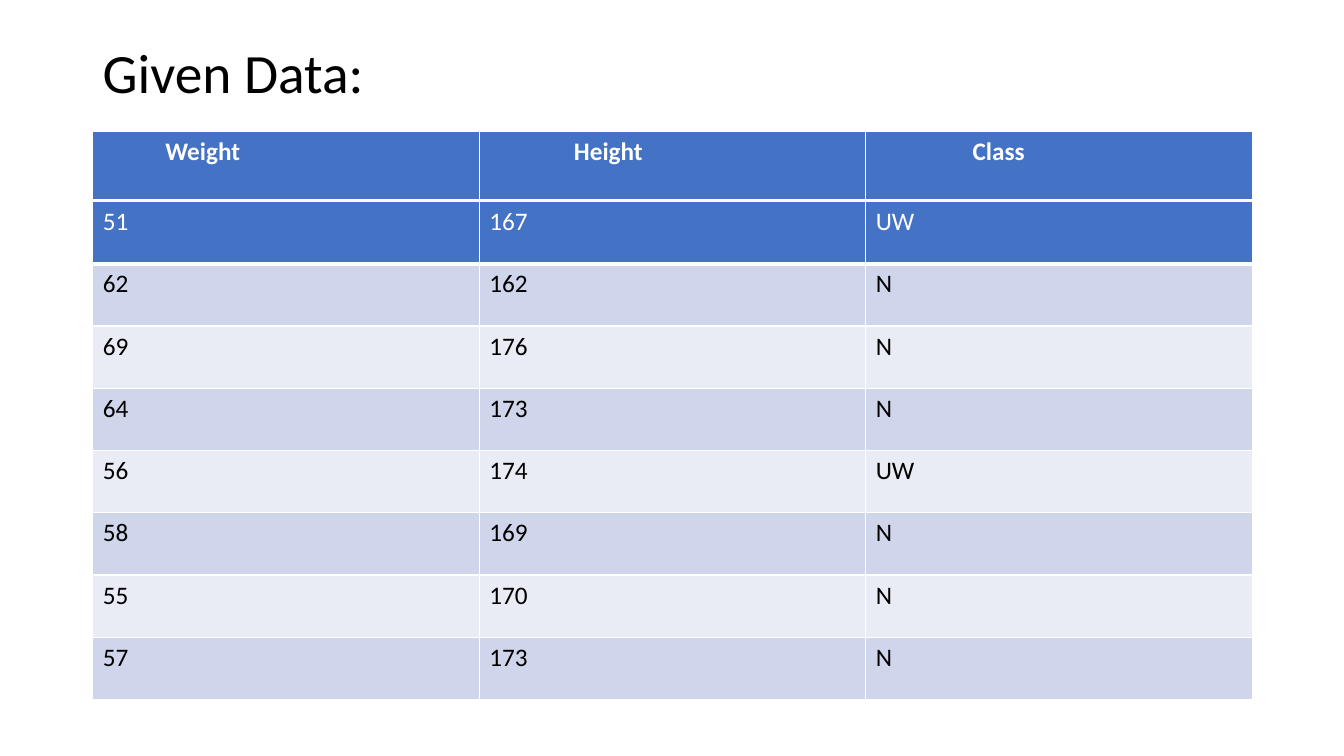
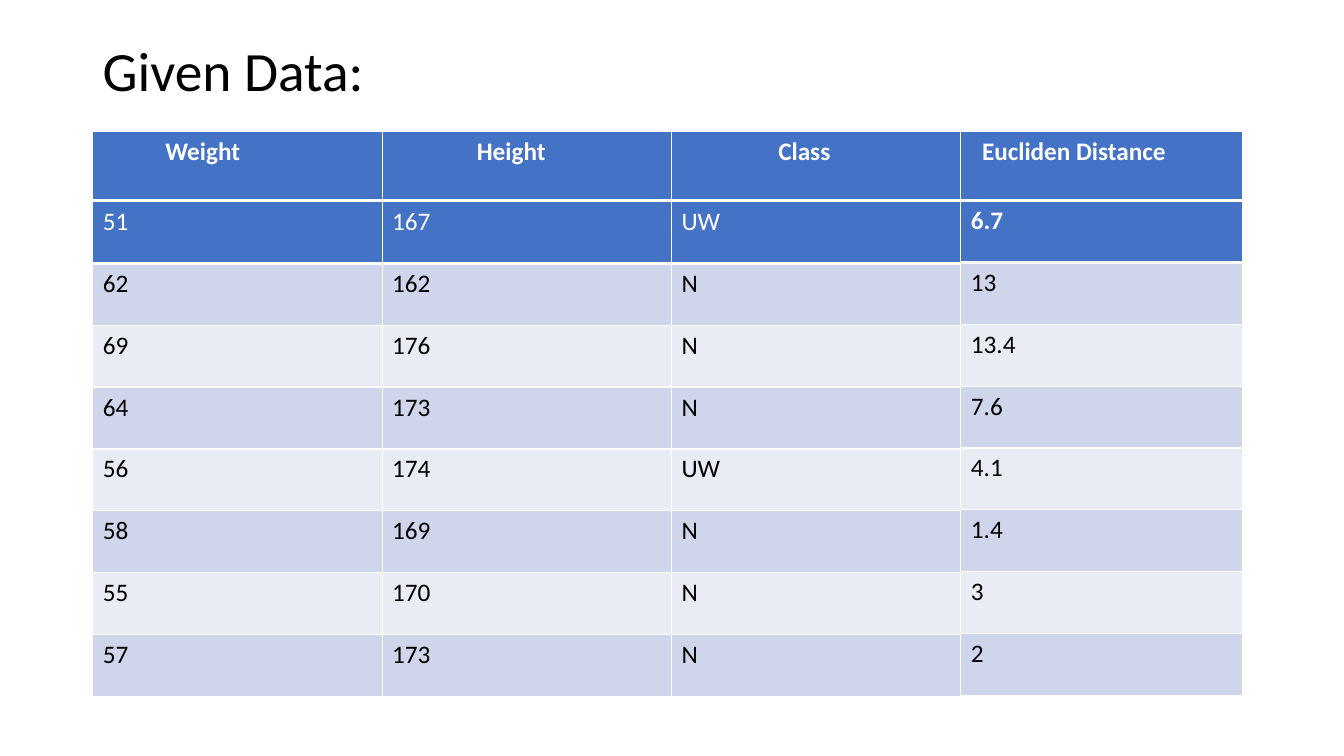
from pptx import Presentation
from pptx.dml.color import RGBColor
from pptx.enum.text import MSO_ANCHOR as Anchor
from pptx.oxml import parse_xml
from pptx.oxml.ns import nsdecls
from pptx.util import Pt

TITLE = "Given Data:"
BODY = [
    ("51", "167", "UW"),
    ("62", "162", "N"),
    ("69", "176", "N"),
    ("64", "173", "N"),
    ("56", "174", "UW"),
    ("58", "169", "N"),
    ("55", "170", "N"),
    ("57", "173", "N"),
]
DIST = [(d,) for d in ("6.7", "13", "13.4", "7.6", "4.1", "1.4", "3", "2")]

# Heading text and its indent in px
HEADS = [("Weight", 72), ("Height", 94), ("Class", 106)]
DIST_HEADS = [("Eucliden Distance", 21)]

# Blocks: left, width, body top, body height, headings, rows, bold first row
SLIDES = [
    {"title": (1150, 0.9),
     "blocks": [(92, 1150, 200, 494, HEADS, BODY, False)]},
    {"title": (861, 0.8),
     "blocks": [(92, 861, 200, 491, HEADS, BODY, False),
                (953, 279, 199, 491, DIST_HEADS, DIST, True)]},
]

FONT, WHITE, BLACK, BLUE = "Calibri", "FFFFFF", "000000", "4472C4"
BANDS = ["E9EBF5", "CFD5EA"]
HEAD_TOP, HEAD_H = 130, 69
THIN, THICK = 1, 3


def px(n):
    """Turn px (100 to the inch) into EMU."""
    return n * 9144


def rgb(code):
    return RGBColor.from_string(code)


def style(para, size, color, bold=False):
    font = para.runs[0].font
    for key, val in {"name": FONT, "size": Pt(size), "bold": bold}.items():
        setattr(font, key, val)
    font.color.rgb = rgb(color)


def edge(cell, widths):
    """Draw white borders, given widths in points by side."""
    props = cell._tc.get_or_add_tcPr()
    for i, side in enumerate("LRTB"):
        props.insert(i, parse_xml(
            f'<a:ln{side} {nsdecls("a")} w="{Pt(widths[side])}"><a:solidFill>'
            f'<a:srgbClr val="{WHITE}"/></a:solidFill></a:ln{side}>'))


def add_grid(slide, box, rows, bold=False, pads=None):
    """Add a table whose first row is blue and whose other rows are banded."""
    left, top, width, height = map(px, box)
    count, cols = len(rows), len(rows[0])
    table = slide.shapes.add_table(count, cols, left, top, width, height).table
    table.first_row = table.horz_banding = False
    for col in table.columns:
        col.width = width // cols
    for r, row in enumerate(rows):
        table.rows[r].height = height // count
        for c, text in enumerate(row):
            cell = table.cell(r, c)
            cell.text = text
            if pads:
                cell.margin_left = px(pads[c])
            cell.fill.solid()
            cell.fill.fore_color.rgb = rgb(BANDS[r % 2] if r else BLUE)
            style(cell.text_frame.paragraphs[0], 18,
                  BLACK if r else WHITE, bold and r == 0)
            edge(cell, {"L": THIN, "R": THIN,
                        "T": THICK if r == 1 else THIN,
                        "B": THIN if r else THICK})


def add_title(slide, width, gap):
    box = slide.shapes.add_textbox(px(92), px(40), px(width), px(69))
    frame = box.text_frame
    frame.word_wrap = True
    frame.vertical_anchor = Anchor.MIDDLE
    para = frame.paragraphs[0]
    para.text = TITLE
    para.line_spacing = gap
    style(para, 39.6, BLACK)


def add_block(slide, left, width, top, height, heads, rows, bold):
    """Add a heading strip with its data rows below."""
    names, pads = zip(*heads)
    add_grid(slide, (left, top, width, height), rows, bold)
    add_grid(slide, (left, HEAD_TOP, width, HEAD_H), [names], True, pads)


def main():
    deck = Presentation()
    deck.slide_width, deck.slide_height = px(1333), px(750)
    for page in SLIDES:
        slide = deck.slides.add_slide(deck.slide_layouts[6])
        add_title(slide, *page["title"])
        for block in page["blocks"]:
            add_block(slide, *block)
    deck.save("out.pptx")


if __name__ == "__main__":
    main()
